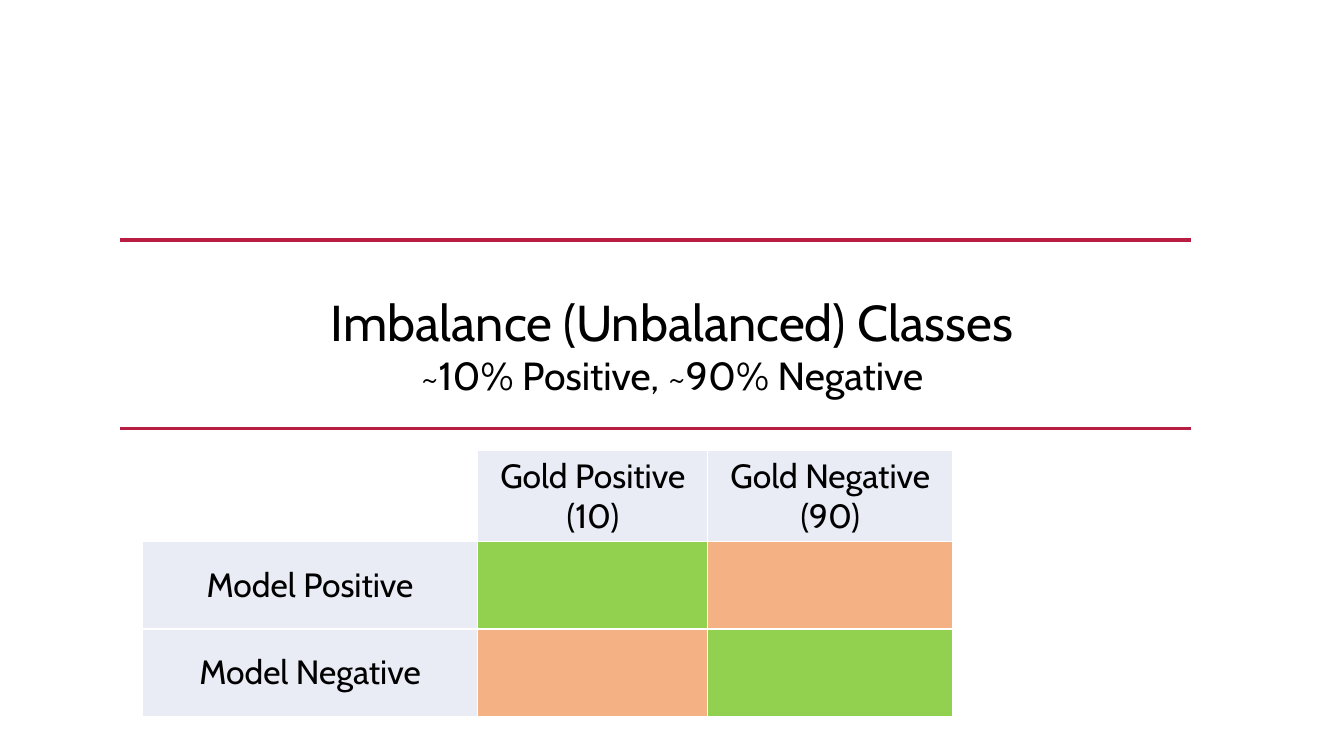
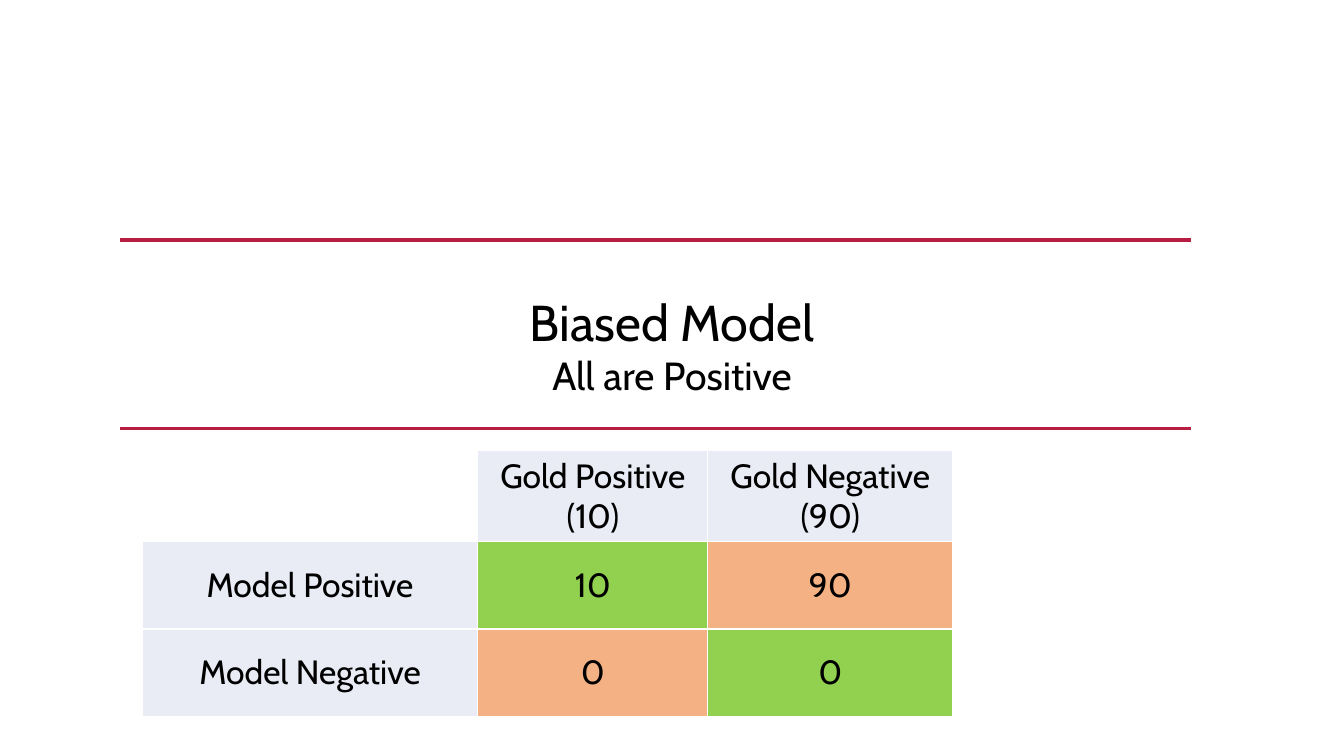
from lxml import etree
from pptx import Presentation, util as u
from pptx.dml.color import RGBColor
from pptx.enum import shapes, text
from pptx.oxml.ns import qn

PX = 9144
WIDTH, HEIGHT = 1333, 750
FONT = "Cabin"
BLACK, WHITE, RULE = "000000", "FFFFFF", "B71E42"
HEADER, RIGHT, WRONG = "E9EBF5", "92D050", "F4B183"
FILLS = [[None, HEADER, HEADER], [HEADER, RIGHT, WRONG], [HEADER, WRONG, RIGHT]]
COLUMNS, ROW = [333, 228, 243], 87


def px(*lengths):
    """Turn pixel lengths into EMU."""
    return [u.Emu(n * PX) for n in lengths]


def color(value):
    """Turn a hex string into a colour."""
    return RGBColor.from_string(value)


def write(tf, lines, sizes):
    """Write centred lines, one paragraph each, with the given sizes."""
    for i, (line, size) in enumerate(zip(lines, sizes)):
        p = tf.paragraphs[0] if i == 0 else tf.add_paragraph()
        p.alignment = text.PP_ALIGN.CENTER
        r = p.add_run()
        r.text = line
        for name, value in {"name": FONT, "size": u.Pt(size)}.items():
            setattr(r.font, name, value)
        r.font.color.rgb = color(BLACK)


def add_rule(s, x, y, w):
    """Draw a horizontal rule."""
    rule = s.shapes.add_connector(shapes.MSO_CONNECTOR.STRAIGHT, *px(x, y, x + w, y))
    rule.line.color.rgb = color(RULE)
    rule.line.width = u.Pt(2.5)
    etree.SubElement(rule._element.spPr, qn("a:effectLst"))


def add_heading(s, x, y, w, h, title, subtitle):
    """Place the title and subtitle between two rules in a box."""
    for rule_y in (y, y + h):
        add_rule(s, x + 119, rule_y, w - 271)
    tf = s.shapes.add_textbox(*px(x, y + 46, w, 118)).text_frame
    tf.word_wrap = True
    tf.auto_size = text.MSO_AUTO_SIZE.SHAPE_TO_FIT_TEXT
    write(tf, [title, subtitle], [36, 28])


def add_borders(cell):
    """Give a cell thin white borders on all sides."""
    tc_pr = cell._tc.get_or_add_tcPr()
    for i, side in enumerate("LRTB"):
        ln = etree.Element(qn(f"a:ln{side}"), w=str(u.Pt(1)))
        fill = etree.SubElement(ln, qn("a:solidFill"))
        etree.SubElement(fill, qn("a:srgbClr"), val=WHITE)
        tc_pr.insert(i, ln)


def add_matrix(s, x, y, counts):
    """Place the confusion matrix with its counts."""
    labels = [["", "Gold Positive\n(10)", "Gold Negative\n(90)"],
              ["Model Positive", *counts[0]],
              ["Model Negative", *counts[1]]]
    size = px(x, y, sum(COLUMNS), ROW * len(labels))
    table = s.shapes.add_table(len(labels), len(COLUMNS), *size).table
    table.first_row = table.horz_banding = False
    for column, width in zip(table.columns, px(*COLUMNS)):
        column.width = width
    for row, row_labels, row_fills in zip(table.rows, labels, FILLS):
        for cell, label, fill in zip(row.cells, row_labels, row_fills):
            cell.vertical_anchor = text.MSO_ANCHOR.MIDDLE
            if fill:
                cell.fill.solid()
                cell.fill.fore_color.rgb = color(fill)
            else:
                cell.fill.background()
            add_borders(cell)
            if label:
                write(cell.text_frame, label.split("\n"), [24, 24])


def add_matrix_slide(prs, title, subtitle, counts):
    """Add a slide with a heading above a confusion matrix."""
    s = prs.slides.add_slide(prs.slide_layouts[6])
    add_heading(s, 0, 238, WIDTH, 187, title, subtitle)
    add_matrix(s, 141, 447, counts)


def main():
    """Build and save the presentation."""
    prs = Presentation()
    prs.slide_width, prs.slide_height = px(WIDTH, HEIGHT)
    add_matrix_slide(prs, "Imbalance (Unbalanced) Classes",
                     "~10% Positive, ~90% Negative", [["", ""], ["", ""]])
    add_matrix_slide(prs, "Biased Model", "All are Positive",
                     [["10", "90"], ["0", "0"]])
    prs.save("out.pptx")


if __name__ == "__main__":
    main()
